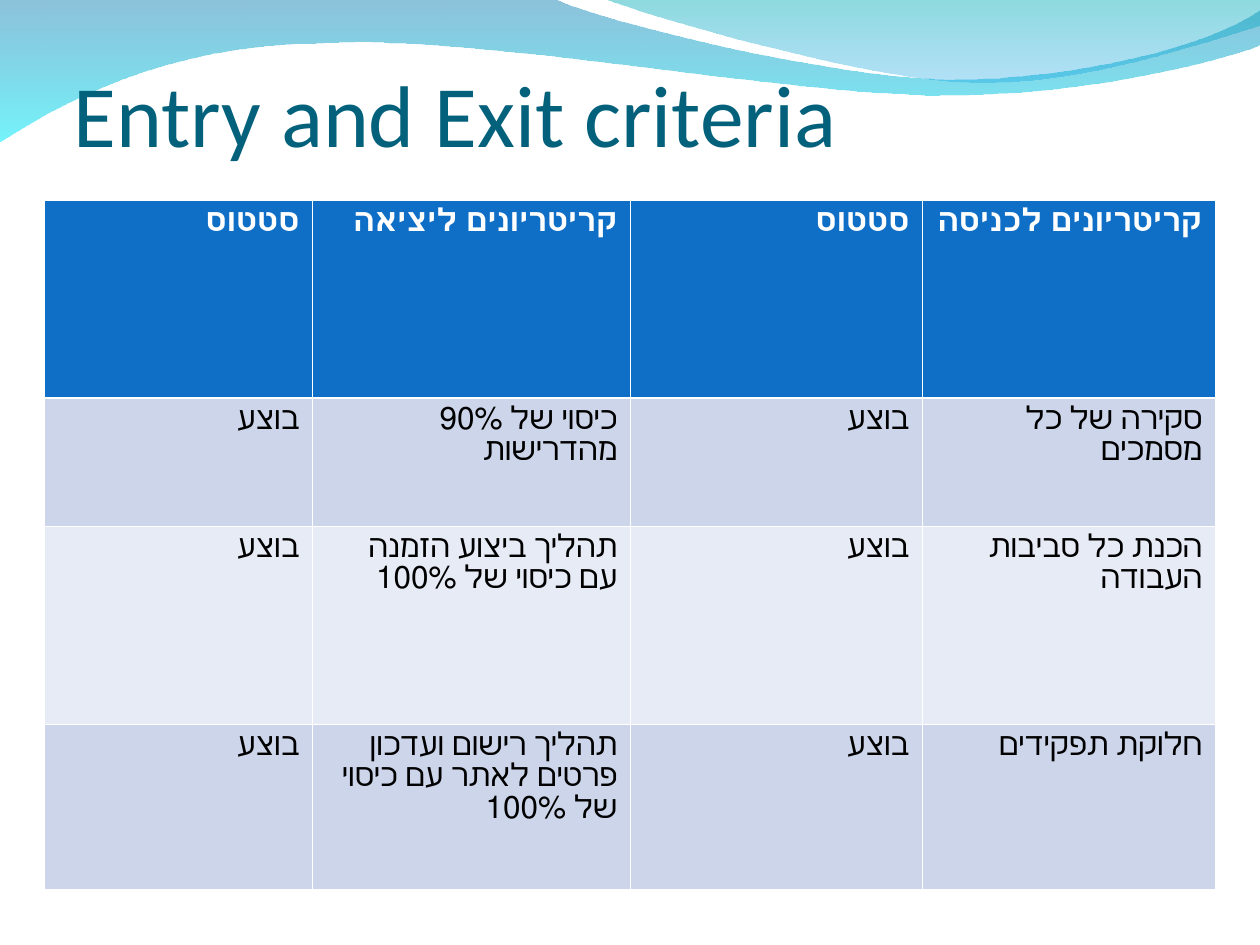
"""Build the entry and exit criteria slide with its wave header and status table."""
from dataclasses import dataclass

from lxml import etree
from pptx import Presentation
from pptx import util as u
from pptx.dml.color import RGBColor
from pptx.enum import text
from pptx.oxml import ns

PX = 914400 / 126
WHITE = RGBColor(0xFF, 0xFF, 0xFF)
BLACK = RGBColor(0, 0, 0)
TITLE_TEAL = RGBColor(0x04, 0x61, 0x7B)
HEADER_BLUE = RGBColor(0x0F, 0x6F, 0xC6)
BAND_DARK = RGBColor(0xCC, 0xD5, 0xEA)
BAND_LIGHT = RGBColor(0xE7, 0xEB, 0xF5)

Point = tuple[int, int]


@dataclass(frozen=True)
class Stop:
    color: RGBColor
    opacity: int


@dataclass(frozen=True)
class Wave:
    """Segments hold one point for a line or three for a Bezier curve."""
    start: Point
    segments: tuple[tuple[Point, ...], ...]
    stops: tuple[Stop, Stop]


@dataclass(frozen=True)
class RowStyle:
    fill: RGBColor
    color: RGBColor
    bold: bool


WAVES = (
    Wave((0, -1), (
        ((554, -1),),
        ((600, 21), (837, 79), (955, 79)),
        ((1075, 79), (1207, 47), (1260, 11)),
        ((1261, 45),),
        ((1239, 55), (1096, 96), (940, 95)),
        ((784, 95), (481, 35), (324, 43)),
        ((163, 44), (58, 105), (-1, 142)),
    ), (Stop(RGBColor(0x00, 0x79, 0xAF), 45), Stop(RGBColor(0x00, 0xEB, 0xF8), 55))),
    Wave((604, -1), (
        ((641, 14), (859, 78), (969, 82)),
        ((1079, 87), (1211, 40), (1260, 26)),
        ((1260, 0),),
    ), (Stop(RGBColor(0x00, 0xAD, 0xB6), 45), Stop(RGBColor(0x00, 0x9B, 0xE5), 30))),
)
COLUMNS = (268, 318, 292, 293)
ROWS = (198, 128, 198, 165)
CELLS = (
    ("סטטוס", "קריטריונים ליציאה", "סטטוס", "קריטריונים לכניסה"),
    ("בוצע", "כיסוי של 90% מהדרישות", "בוצע", "סקירה של כל מסמכים"),
    ("בוצע", "תהליך ביצוע הזמנה עם כיסוי של 100%", "בוצע", "הכנת כל סביבות העבודה"),
    ("בוצע", "תהליך רישום ועדכון פרטים לאתר עם כיסוי של 100%", "בוצע", "חלוקת תפקידים"),
)
HEADER = RowStyle(HEADER_BLUE, WHITE, True)
DARK = RowStyle(BAND_DARK, BLACK, False)
LIGHT = RowStyle(BAND_LIGHT, BLACK, False)
ROW_STYLES = (HEADER, DARK, LIGHT, DARK)


def px(value: float) -> u.Emu:
    return u.Emu(round(value * PX))


def bend_segments(sp, segments: tuple[tuple[Point, ...], ...]) -> None:
    """Turn each run of three straight steps into one cubic curve."""
    steps = iter(sp._element.spPr.findall(".//" + ns.qn("a:lnTo")))
    for segment in segments:
        first, *rest = [next(steps) for _ in segment]
        if rest:
            first.tag = ns.qn("a:cubicBezTo")
            for step in rest:
                first.append(step[0])
                step.getparent().remove(step)


def draw_wave(s, wave: Wave) -> None:
    builder = s.shapes.build_freeform(px(wave.start[0]), px(wave.start[1]), scale=1.0)
    builder.add_line_segments(
        [(px(x), px(y)) for segment in wave.segments for x, y in segment], close=True)
    sp = builder.convert_to_shape()
    bend_segments(sp, wave.segments)
    sp.shadow.inherit = False
    sp.line.fill.background()
    sp.fill.gradient()
    sp.fill.gradient_angle = 270
    for gradient_stop, stop in zip(sp.fill.gradient_stops, wave.stops):
        gradient_stop.color.rgb = stop.color
    colors = sp._element.spPr.findall(".//" + ns.qn("a:gs") + "/" + ns.qn("a:srgbClr"))
    for color, stop in zip(colors, wave.stops):
        etree.SubElement(color, ns.qn("a:alpha"), val=str(stop.opacity * 1000))


def set_border(cell, side: str, points: float) -> None:
    ln = etree.SubElement(cell._tc.get_or_add_tcPr(), ns.qn(f"a:ln{side}"), w=str(u.Pt(points)))
    fill = etree.SubElement(ln, ns.qn("a:solidFill"))
    etree.SubElement(fill, ns.qn("a:srgbClr"), val=str(WHITE))


def fill_cell(cell, content: str, style: RowStyle, row: int) -> None:
    for side in "LRTB":
        thick = (row, side) in ((0, "B"), (1, "T"))
        set_border(cell, side, 1.47 if thick else 0.45)
    cell.fill.solid()
    cell.fill.fore_color.rgb = style.fill
    p = cell.text_frame.paragraphs[0]
    p.text = content
    p.alignment = text.PP_ALIGN.RIGHT
    p._p.get_or_add_pPr().set("rtl", "1")
    r = p.runs[0]
    r.font.size = u.Pt(18)
    r.font.name = "Cambria"
    r.font.bold = style.bold
    r.font.color.rgb = style.color
    etree.SubElement(r._r.get_or_add_rPr(), ns.qn("a:cs"), typeface="FreeSans")


def draw_table(s) -> None:
    frame = s.shapes.add_table(len(ROWS), len(COLUMNS), px(44), px(200),
                               px(sum(COLUMNS)), px(sum(ROWS)))
    table = frame.table
    for column, width in zip(table.columns, COLUMNS):
        column.width = px(width)
    for i, (height, contents, style) in enumerate(zip(ROWS, CELLS, ROW_STYLES)):
        table.rows[i].height = px(height)
        for j, content in enumerate(contents):
            fill_cell(table.cell(i, j), content, style, i)


def draw_title(s) -> None:
    tf = s.shapes.add_textbox(px(54), px(55), px(1063), px(110)).text_frame
    tf.word_wrap = True
    tf.vertical_anchor = text.MSO_ANCHOR.BOTTOM
    tf.margin_left = tf.margin_right = tf.margin_bottom = 0
    tf.margin_top = u.Inches(0.05)
    tf.text = " Entry and Exit criteria"
    r = tf.paragraphs[0].runs[0]
    r.font.size = u.Pt(50)
    r.font.name = "Calibri"
    r.font.color.rgb = TITLE_TEAL


def main() -> None:
    prs = Presentation()
    prs.slide_width, prs.slide_height = px(1260), px(945)
    s = prs.slides.add_slide(prs.slide_layouts[6])
    for wave in WAVES:
        draw_wave(s, wave)
    draw_table(s)
    draw_title(s)
    prs.save("out.pptx")


if __name__ == "__main__":
    main()
